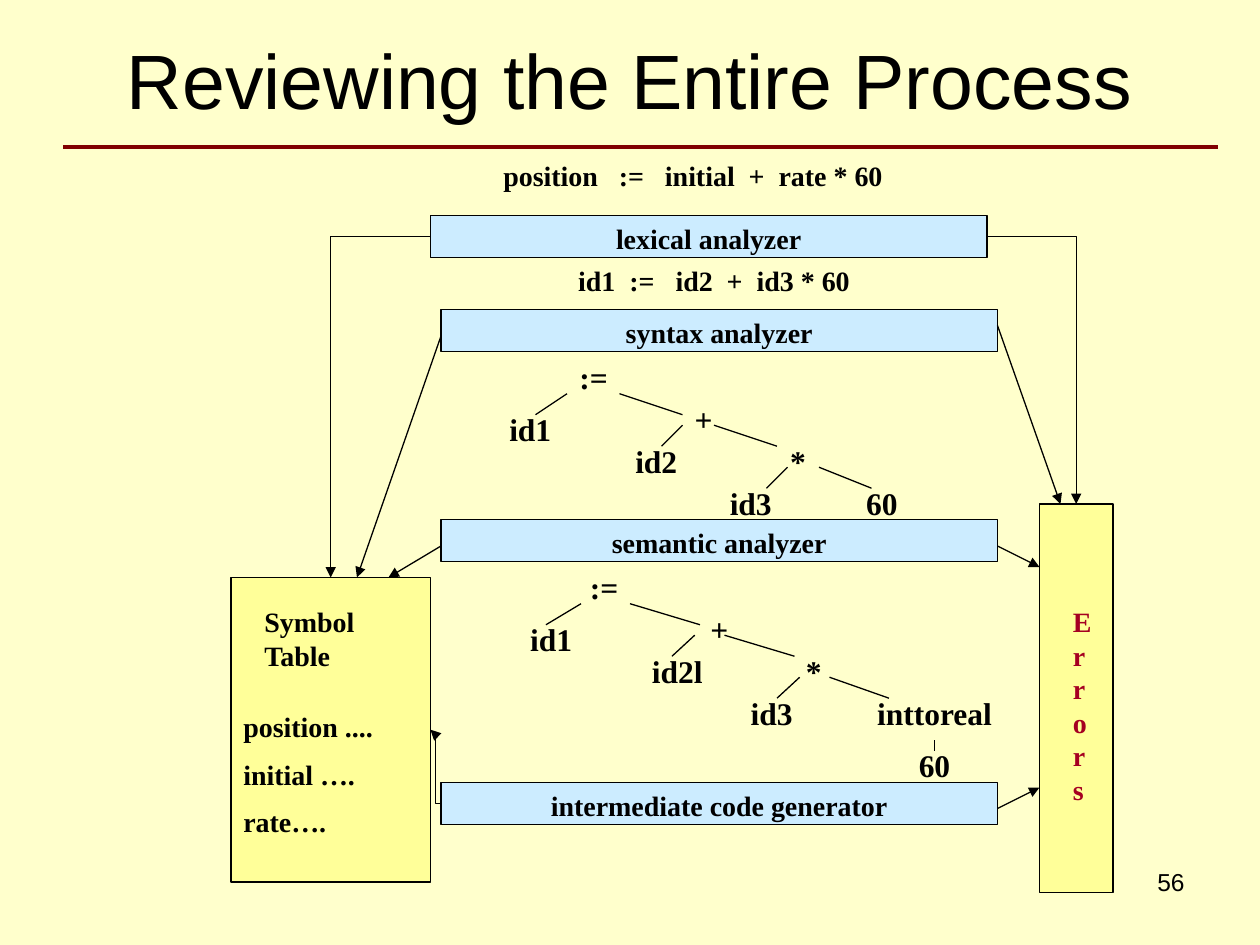
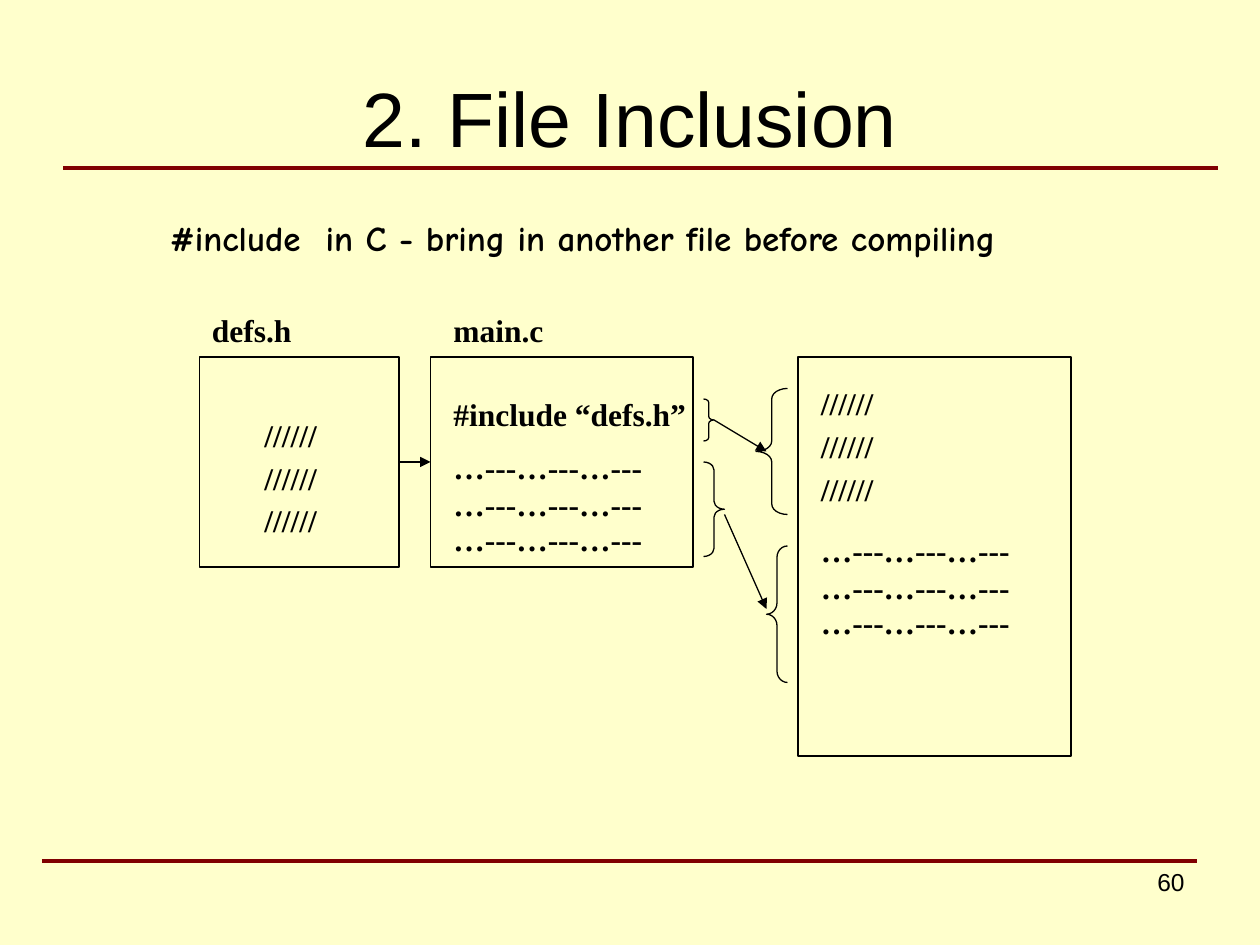
from pptx import Presentation
from pptx.dml.color import RGBColor
from pptx.enum.shapes import MSO_CONNECTOR, MSO_SHAPE
from pptx.enum.text import MSO_ANCHOR, PP_ALIGN
from pptx.oxml.ns import qn
from pptx.util import Pt
from lxml.etree import SubElement

CREAM = RGBColor(0xFF, 0xFF, 0xCC)
YELLOW = RGBColor(0xFF, 0xFF, 0x99)
SKY = RGBColor(0xCC, 0xEC, 0xFF)
MAROON = RGBColor(0x80, 0x00, 0x00)
CRIMSON = RGBColor(0xA5, 0x00, 0x21)
BLACK = RGBColor(0, 0, 0)
SANS, SERIF, COMIC = "Arial", "Times New Roman", "Comic Neue"
LEFT, CENTER, RIGHT = PP_ALIGN.LEFT, PP_ALIGN.CENTER, PP_ALIGN.RIGHT

PHASE_SIZE = (318, 24)
PHASES = [
    ("lexical analyzer", 246, 123),
    ("syntax analyzer", 252, 177),
    ("semantic analyzer", 252, 297),
    ("intermediate code generator", 252, 447),
]
STATEMENTS = [
    ("position   :=   initial  +  rate * 60", 258, 87),
    ("id1  :=   id2  +  id3 * 60", 270, 147),
]
SYNTAX_TREE = [
    (":=", 324, 201, 48), ("id1", 258, 231, 90), ("id2", 330, 249, 90),
    ("id3", 384, 273, 90), ("+", 378, 225, 48), ("*", 432, 249, 48),
    ("60", 480, 273, 48),
]
SEMANTIC_TREE = [
    (":=", 330, 321, 54), ("id1", 264, 351, 102), ("id2l", 336, 369, 102),
    ("id3", 390, 393, 102), ("+", 384, 345, 54), ("*", 438, 369, 54),
    ("inttoreal", 486, 393, 96), ("60", 504, 423, 60),
]
BRANCHES = [
    (324, 225, 306, 237), (354, 225, 390, 237), (390, 243, 378, 255),
    (408, 243, 444, 255), (450, 267, 438, 279), (468, 267, 498, 279),
    (332, 345, 312, 357), (360, 345, 400, 357), (397, 363, 384, 375),
    (414, 363, 454, 375), (457, 387, 444, 399), (474, 387, 508, 399),
    (534, 423, 534, 429),
]
PHASE_ARROWS = [
    (252, 192, 204, 330), (252, 312, 222, 330), (570, 462, 594, 450),
    (570, 312, 594, 324), (570, 186, 606, 288),
]
PHASE_ELBOWS = [
    (246, 135, 189, 330, "bentConnector2"),
    (564, 135, 615, 288, "bentConnector2"),
    (252, 459, 246, 417, "bentConnector3"),
]
SYMBOLS = ["position ....", "initial ….", "rate…."]

DEFS = ["//////"] * 3
BODY = ["…---…---…---"] * 3
FILES = {
    "defs.h": (114, 204, 114, 120),
    "main.c": (246, 204, 150, 120),
    "expanded": (456, 204, 156, 228),
}
FILE_NAMES = [("defs.h", 114, 174), ("main.c", 252, 174)]
LISTINGS = [
    (DEFS, 144, 234, 78, [1, 0.7, 0.7]),
    (['#include “defs.h”'] + BODY, 252, 222, 150, [1, 1, 0.5, 0.5]),
    (DEFS, 462, 216, 78, [1, 0.7, 0.7]),
    (BODY, 462, 300, 150, [1, 0.5, 0.5]),
]
BRACES = [
    (MSO_SHAPE.RIGHT_BRACE, 402, 228, 6, 24, 0.33),
    (MSO_SHAPE.RIGHT_BRACE, 402, 264, 12, 54, 0.38),
    (MSO_SHAPE.LEFT_BRACE, 432, 222, 18, 72, 0.33),
    (MSO_SHAPE.LEFT_BRACE, 438, 312, 12, 78, 0.54),
]
INCLUSION_ARROWS = [(408, 240, 438, 258), (414, 294, 438, 348)]


def write(sp, lines, size=18, font=SERIF, bold=True, color=BLACK, align=LEFT,
          anchor=MSO_ANCHOR.TOP, spacing=None):
    tf = sp.text_frame
    tf.word_wrap = True
    tf.vertical_anchor = anchor
    for i, line in enumerate(lines):
        p = tf.add_paragraph() if i else tf.paragraphs[0]
        p.text = line
        p.alignment = align
        if i:
            p.space_before = Pt(size / 2)
        if spacing and spacing[i] != 1:
            p.line_spacing = spacing[i]
        p.font.size = Pt(size)
        p.font.name = font
        p.font.bold = bold
        p.font.color.rgb = color


def add_text(slide, lines, x, y, w, h, **style):
    sp = slide.shapes.add_textbox(Pt(x), Pt(y), Pt(w), Pt(h))
    write(sp, lines, **style)


def add_box(slide, x, y, w, h, fill=None, kind=MSO_SHAPE.RECTANGLE):
    sp = slide.shapes.add_shape(kind, Pt(x), Pt(y), Pt(w), Pt(h))
    sp.shadow.inherit = False
    if fill is None:
        sp.fill.background()
    else:
        sp.fill.solid()
        sp.fill.fore_color.rgb = fill
    sp.line.color.rgb = BLACK
    sp.line.width = Pt(0.75)
    return sp


def add_line(slide, x1, y1, x2, y2, preset="line", arrow=False, color=BLACK, width=0.75):
    kind = MSO_CONNECTOR.STRAIGHT if preset == "line" else MSO_CONNECTOR.ELBOW
    c = slide.shapes.add_connector(kind, Pt(x1), Pt(y1), Pt(x2), Pt(y2))
    c.line.color.rgb = color
    c.line.width = Pt(width)
    spPr = c._element.spPr
    spPr.find(qn("a:prstGeom")).set("prst", preset)
    if arrow:
        SubElement(spPr.find(qn("a:ln")), qn("a:tailEnd"), type="triangle")
    SubElement(spPr, qn("a:effectLst"))
    return c


def add_rule(slide, x, y):
    add_line(slide, x, y, x + 660, y, color=MAROON, width=2.25)


def add_base(prs, title, title_top, rule_top, number):
    slide = prs.slides.add_slide(prs.slide_layouts[6])
    slide.background.fill.solid()
    slide.background.fill.fore_color.rgb = CREAM
    add_text(slide, [title], 36, title_top, 648, 90, size=44, font=SANS,
             bold=False, align=CENTER, anchor=MSO_ANCHOR.MIDDLE)
    add_rule(slide, 36, rule_top)
    add_text(slide, [number], 516, 492, 168, 37.5, size=14, font=SANS,
             bold=False, align=RIGHT)
    return slide


def build_process(prs):
    slide = add_base(prs, "Reviewing the Entire Process", 0, 84, "56")
    add_box(slide, 594, 288, 42, 222, YELLOW)
    add_text(slide, ["Errors"], 606, 342, 24, 122, size=16, color=CRIMSON)
    for text, x, y in STATEMENTS:
        add_text(slide, [text], x, y, 276, 26.5, size=16, align=CENTER)
    for text, x, y in PHASES:
        sp = add_box(slide, x, y, *PHASE_SIZE, SKY)
        sp.text_frame.margin_bottom = 0
        write(sp, [text], size=16, align=CENTER)
    for text, x, y, w in SYNTAX_TREE + SEMANTIC_TREE:
        add_text(slide, [text], x, y, w, 29, align=LEFT if text == ":=" else CENTER)
    for ends in BRANCHES:
        add_line(slide, *ends)
    add_box(slide, 132, 330, 114, 174, YELLOW)
    add_text(slide, ["Symbol Table"], 144, 342, 78, 46, size=16)
    add_text(slide, SYMBOLS, 132, 402, 114, 84, size=16)
    for ends in PHASE_ARROWS:
        add_line(slide, *ends, arrow=True)
    for elbow in PHASE_ELBOWS:
        add_line(slide, *elbow, arrow=True)


def build_inclusion(prs):
    slide = add_base(prs, "2. File Inclusion", 21.6, 96, "60")
    add_rule(slide, 24, 492)
    add_text(slide, ["#include  in C - bring in another file before compiling"],
             90, 120, 582, 31, size=20, font=COMIC)
    boxes = {name: add_box(slide, *rect) for name, rect in FILES.items()}
    for name, x, y in FILE_NAMES:
        add_text(slide, [name], x, y, 108, 29)
    for lines, x, y, w, spacing in LISTINGS:
        add_text(slide, lines, x, y, w, 27 * len(lines), spacing=spacing)
    for kind, x, y, w, h, curl in BRACES:
        add_box(slide, x, y, w, h, kind=kind).adjustments[0] = curl
    c = add_line(slide, 228, 264, 246, 264, arrow=True)
    c.begin_connect(boxes["defs.h"], 3)
    c.end_connect(boxes["main.c"], 1)
    for ends in INCLUSION_ARROWS:
        add_line(slide, *ends, arrow=True)


def main():
    prs = Presentation()
    prs.slide_width, prs.slide_height = Pt(720), Pt(540)
    build_process(prs)
    build_inclusion(prs)
    prs.save("out.pptx")


if __name__ == "__main__":
    main()
